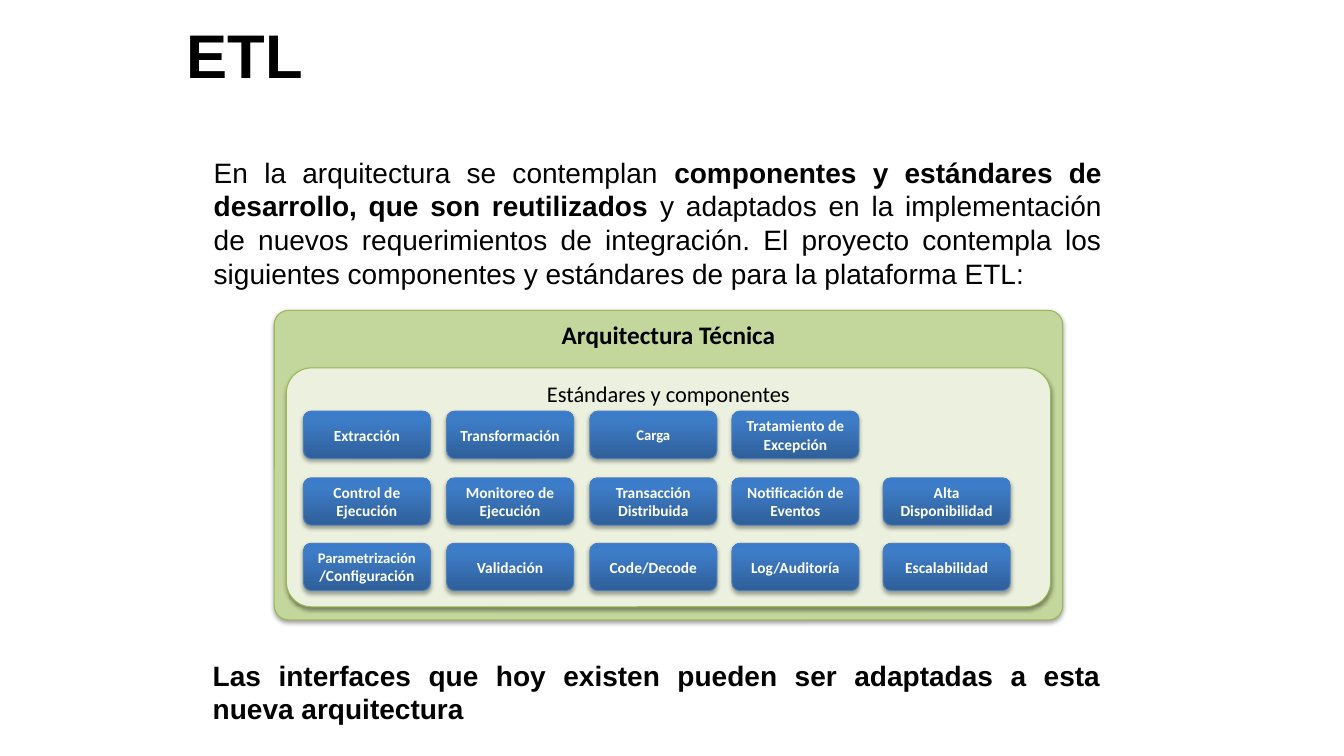
"""Build the ETL slide with its grid of standards and components."""
from copy import deepcopy

from lxml.etree import SubElement
from pptx import Presentation
from pptx.dml.color import RGBColor
from pptx.enum.shapes import MSO_SHAPE
from pptx.enum.text import MSO_ANCHOR, MSO_AUTO_SIZE, PP_ALIGN
from pptx.oxml.ns import qn
from pptx.util import Pt

SCALE = 9144
INTRO = [
    ("En la arquitectura se contemplan ", False),
    ("componentes y estándares de desarrollo, que son reutilizados", True),
    (" y adaptados en la implementación de nuevos requerimientos de integración. "
     "El proyecto contempla los siguientes componentes y estándares de para la "
     "plataforma ETL:", False),
]
CLOSING = [("Las interfaces que hoy existen pueden ser adaptadas a esta nueva "
            "arquitectura", True)]
COLUMNS = [301, 443, 585, 726, 876]
ROWS = [408, 474, 539]
PARTS = [
    ["Extracción", "Transformación", "Carga", "Tratamiento de Excepción"],
    ["Control de Ejecución", "Monitoreo de Ejecución", "Transacción\nDistribuida",
     "Notificación de Eventos", "Alta Disponibilidad"],
    ["Parametrización\n/Configuración", "Validación", "Code/Decode",
     "Log/Auditoría", "Escalabilidad"],
]
SMALL = {"Carga", "Parametrización"}
STOPS = [(0, "2F5F99"), (0.8, "3D7CC7"), (1, "3A7CCB")]


def px(*sizes):
    """Turn px lengths into EMU."""
    return [size * SCALE for size in sizes]


def color(code):
    """Turn a hex string into a colour."""
    return RGBColor.from_string(code)


def style(font, name, size, bold=None, code="000000"):
    """Set the face, size, weight and colour of a font."""
    font.name, font.size, font.bold = name, Pt(size), bold
    font.color.rgb = color(code)


def add_title(slide, text, box):
    """Place and format the title."""
    title = slide.shapes.title
    title.left, title.top, title.width, title.height = px(*box)
    frame = title.text_frame
    frame.text = text
    frame.auto_size = MSO_AUTO_SIZE.NONE
    frame.vertical_anchor = MSO_ANCHOR.TOP
    para = frame.paragraphs[0]
    para.alignment, para.line_spacing = PP_ALIGN.LEFT, 0.9
    style(para.font, "Arial", 44, True)


def add_text(slide, runs, box):
    """Add a justified, indented paragraph of plain and bold runs."""
    frame = slide.shapes.add_textbox(*px(*box)).text_frame
    frame.word_wrap = True
    frame.margin_left = frame.margin_right = 0
    frame.margin_top = frame.margin_bottom = 0
    para = frame.paragraphs[0]
    para.alignment = PP_ALIGN.JUSTIFY
    props = para._p.get_or_add_pPr()
    props.set("marL", str(19 * SCALE))
    props.set("indent", "0")
    style(para.font, "Arial", 20)
    for text, bold in runs:
        run = para.add_run()
        run.text = text
        style(run.font, "Arial", 20, bold)


def add_shade(shape, alpha, gap):
    """Give a shape a soft shadow below it."""
    shape.shadow.inherit = False
    effects = shape._element.spPr.find(qn("a:effectLst"))
    shade = SubElement(effects, qn("a:outerShdw"), blurRad=str(Pt(3.1)),
                       dist=str(Pt(gap)), dir="5400000", rotWithShape="0")
    black = SubElement(shade, qn("a:srgbClr"), val="000000")
    SubElement(black, qn("a:alpha"), val=str(alpha * 1000))


def add_box(shapes, box, line):
    """Add a rounded box with a thin outline."""
    shape = shapes.add_shape(MSO_SHAPE.ROUNDED_RECTANGLE, *px(*box))
    shape.line.color.rgb = color(line)
    shape.line.width = Pt(0.75)
    shape.text_frame.word_wrap = True
    return shape


def add_panel(shapes, text, box, fill, curve, size, bold):
    """Add a green panel with its heading at the top."""
    panel = add_box(shapes, box, "98B955")
    panel.adjustments[0] = curve
    panel.fill.solid()
    panel.fill.fore_color.rgb = color(fill)
    add_shade(panel, 38, 1.6)
    frame = panel.text_frame
    frame.vertical_anchor = MSO_ANCHOR.TOP
    frame.text = text
    para = frame.paragraphs[0]
    para.alignment = PP_ALIGN.CENTER
    style(para.font, "Calibri", size, bold)


def add_part(shapes, text, left, top):
    """Add one blue component box."""
    part = add_box(shapes, (left, top, 126, 47), "4B7EBC")
    part.fill.gradient()
    part.fill.gradient_angle = 90
    stops = part._element.spPr.find(".//" + qn("a:gsLst"))
    stops.append(deepcopy(stops[0]))
    for stop, (place, code) in zip(part.fill.gradient_stops, STOPS):
        stop.position = place
        stop.color.rgb = color(code)
    add_shade(part, 35, 1.8)
    frame = part.text_frame
    frame.vertical_anchor = MSO_ANCHOR.MIDDLE
    frame.text = text
    for para in frame.paragraphs:
        para.alignment = PP_ALIGN.CENTER
        size = 10.5 if para.text in SMALL else 11
        style(para.font, "Calibri", size, True, "FFFFFF")


def main():
    """Build and save the slide."""
    deck = Presentation()
    deck.slide_width, deck.slide_height = px(1333, 750)
    slide = deck.slides.add_slide(deck.slide_layouts[5])
    add_title(slide, "ETL", (175, 20, 1129, 145))
    add_text(slide, INTRO, (193, 154, 900, 135))
    add_panel(slide.shapes, "Arquitectura Técnica", (272, 308, 782, 307),
              "C3D69B", 0.046, 18, True)
    add_text(slide, CLOSING, (192, 653, 900, 67))
    group = slide.shapes.add_group_shape().shapes
    add_panel(group, "Estándares y componentes", (284, 365, 758, 237),
              "EBF1DE", 0.105, 16, False)
    for top, names in zip(ROWS, PARTS):
        for left, name in zip(COLUMNS, names):
            add_part(group, name, left, top)
    deck.save("out.pptx")


if __name__ == "__main__":
    main()
